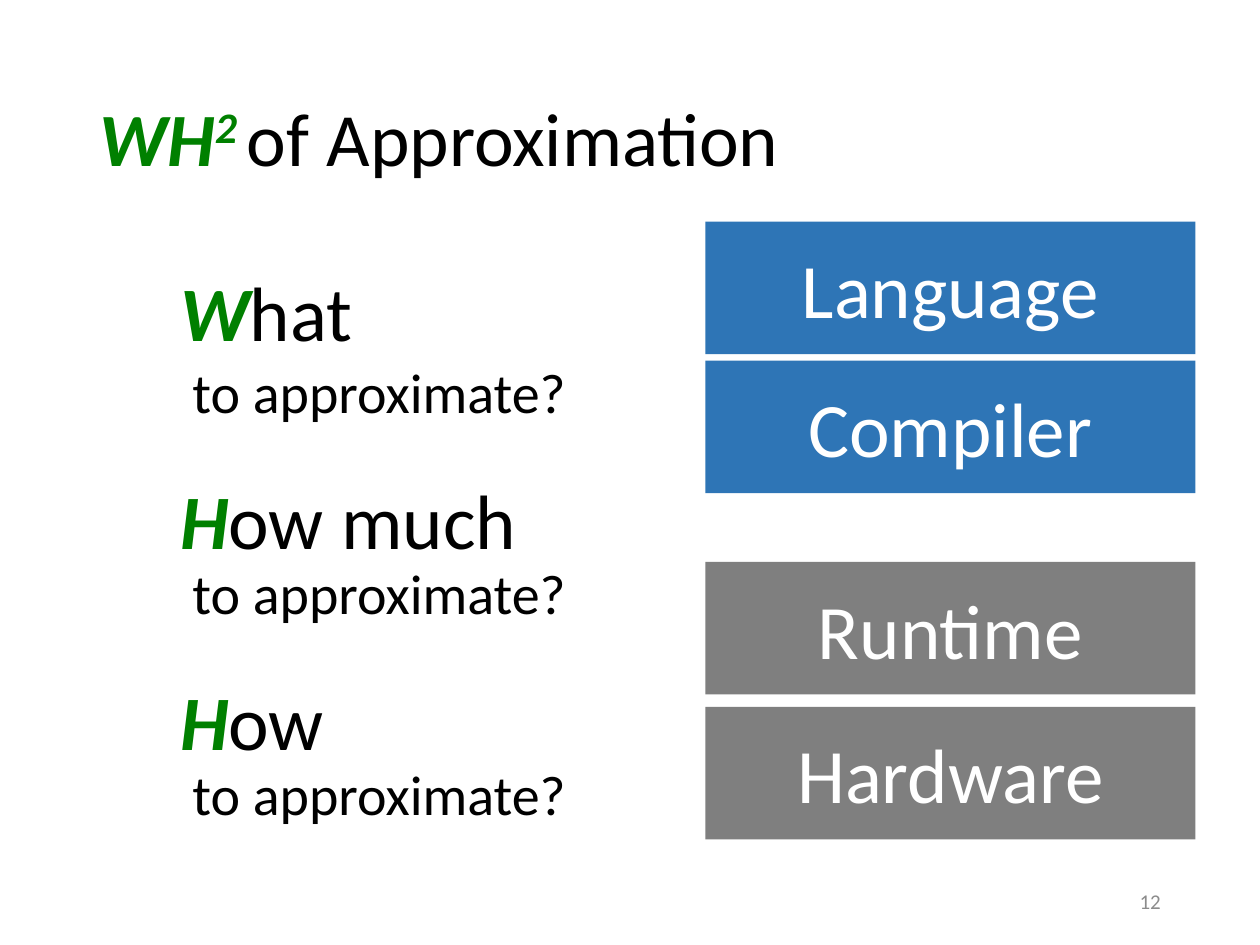
from pptx import Presentation
from pptx import util as u
from pptx.dml.color import RGBColor
from pptx.enum import shapes, text

GREEN = RGBColor(0x00, 0x80, 0x00)
BLACK = RGBColor(0x00, 0x00, 0x00)
WHITE = RGBColor(0xFF, 0xFF, 0xFF)
BLUE = RGBColor(0x2E, 0x75, 0xB6)
GRAY = RGBColor(0x7F, 0x7F, 0x7F)
LIGHT_GRAY = RGBColor(0x8C, 0x8C, 0x8C)
FONT = "Calibri"


def set_font(font, size, color):
    font.name = FONT
    font.size = u.Pt(size)
    font.color.rgb = color


def add_run(paragraph, content, accent=False):
    run = paragraph.add_run()
    run.text = content
    if accent:
        run.font.bold = run.font.italic = True
        run.font.color.rgb = GREEN
    return run


def place_title(slide, left, top, width, height):
    title = slide.shapes.title
    title.left, title.top, title.width, title.height = left, top, width, height
    title.text_frame.vertical_anchor = text.MSO_ANCHOR.MIDDLE
    paragraph = title.text_frame.paragraphs[0]
    paragraph.alignment = text.PP_ALIGN.LEFT
    paragraph.line_spacing = 0.9
    set_font(paragraph.font, 43, BLACK)
    add_run(paragraph, "WH", accent=True)
    exponent = add_run(paragraph, "2 ", accent=True)
    exponent._r.get_or_add_rPr().set("baseline", "30000")
    add_run(paragraph, "of Approximation")


def add_questions(slide, left, top, width, height, questions):
    frame = slide.shapes.add_textbox(left, top, width, height).text_frame
    frame.word_wrap = True
    for index, (initial, rest, gap_before, gap_inside) in enumerate(questions):
        heading = frame.add_paragraph() if index else frame.paragraphs[0]
        heading.line_spacing = 0.9
        heading.space_before = u.Pt(gap_before)
        set_font(heading.font, 44, BLACK)
        add_run(heading, initial, accent=True)
        add_run(heading, rest)

        detail = frame.add_paragraph()
        detail.line_spacing = 0.9
        detail.space_before = u.Pt(gap_inside)
        properties = detail._p.get_or_add_pPr()
        properties.set("marL", str(u.Cm(0.25)))
        properties.set("indent", "0")
        set_font(detail.font, 32, BLACK)
        add_run(detail, "to approximate?")


def add_layers(slide, left, top, width, layer_height, layers):
    for name, offset, color in layers:
        layer = slide.shapes.add_shape(
            shapes.MSO_SHAPE.ROUNDED_RECTANGLE, left, top + u.Cm(offset), width, layer_height)
        layer.adjustments[0] = 0
        layer.shadow.inherit = False
        layer.fill.solid()
        layer.fill.fore_color.rgb = color
        layer.line.fill.background()
        frame = layer.text_frame
        frame.margin_left = frame.margin_top = frame.margin_right = frame.margin_bottom = 0
        frame.vertical_anchor = text.MSO_ANCHOR.MIDDLE
        paragraph = frame.paragraphs[0]
        paragraph.text = name
        paragraph.alignment = text.PP_ALIGN.CENTER
        set_font(paragraph.font, 44, WHITE)


def add_slide_number(slide, left, top, width, height, number):
    frame = slide.shapes.add_textbox(left, top, width, height).text_frame
    frame.word_wrap = True
    frame.vertical_anchor = text.MSO_ANCHOR.MIDDLE
    paragraph = frame.paragraphs[0]
    paragraph.text = str(number)
    paragraph.alignment = text.PP_ALIGN.RIGHT
    set_font(paragraph.font, 12, LIGHT_GRAY)


def main():
    presentation = Presentation()
    presentation.slide_width, presentation.slide_height = u.Cm(25.4), u.Cm(19.05)
    slide = presentation.slides.add_slide(presentation.slide_layouts[5])
    place_title(slide, u.Cm(1.75), u.Cm(1.02), u.Cm(21.9), u.Cm(3.68))
    add_questions(slide, u.Cm(3.38), u.Cm(5.41), u.Cm(10.6), u.Cm(10.69), [
        ("W", "hat", 0, 4),
        ("H", "ow much", 33, 0),
        ("H", "ow", 33, 0),
    ])
    add_layers(slide, u.Cm(14.22), u.Cm(4.47), u.Cm(9.88), u.Cm(2.67), [
        ("Language", 0, BLUE),
        ("Compiler", 2.8, BLUE),
        ("Runtime", 6.86, GRAY),
        ("Hardware", 9.78, GRAY),
    ])
    add_slide_number(slide, u.Cm(17.93), u.Cm(17.65), u.Cm(5.72), u.Cm(1.02), 12)
    presentation.save("out.pptx")


if __name__ == "__main__":
    main()
